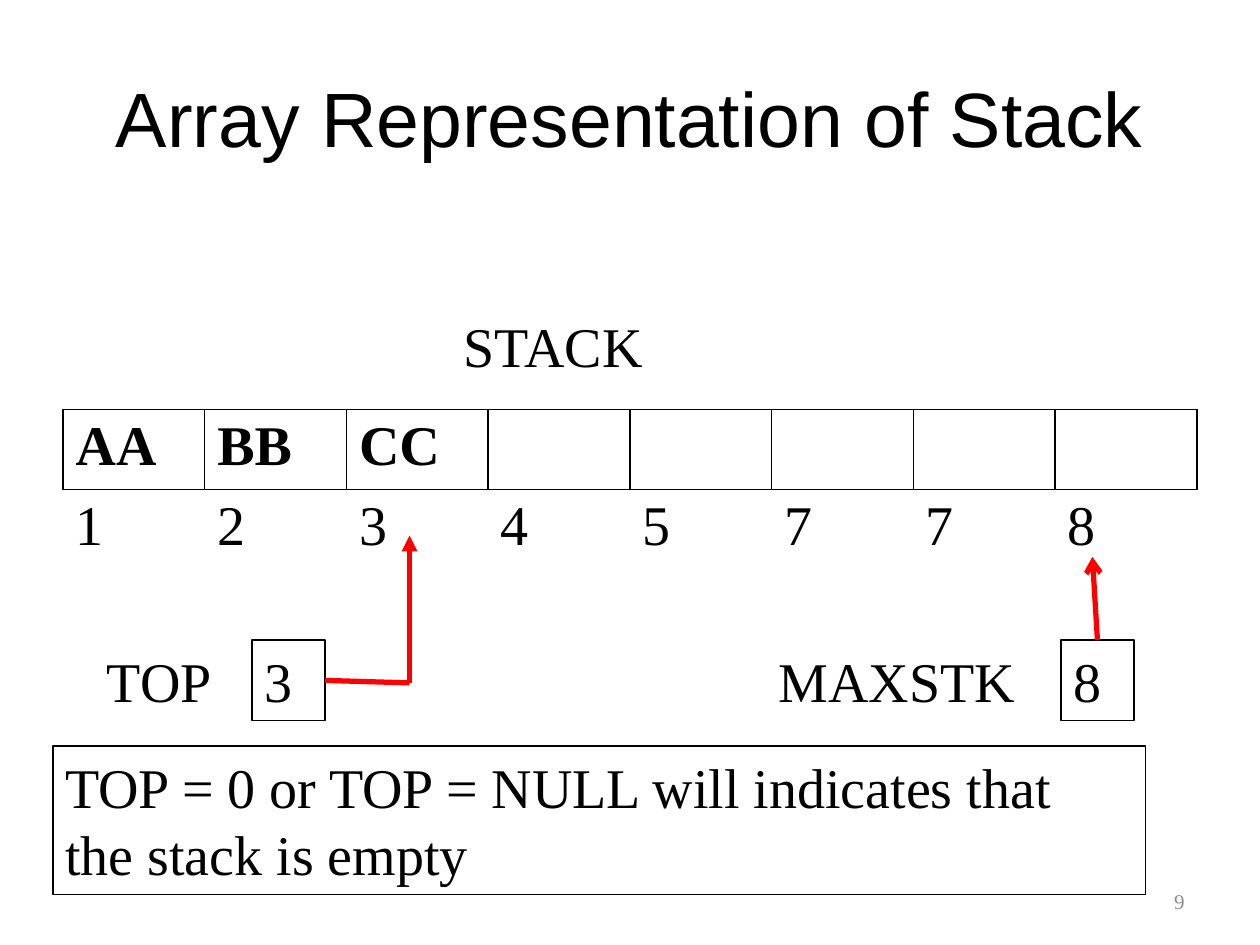
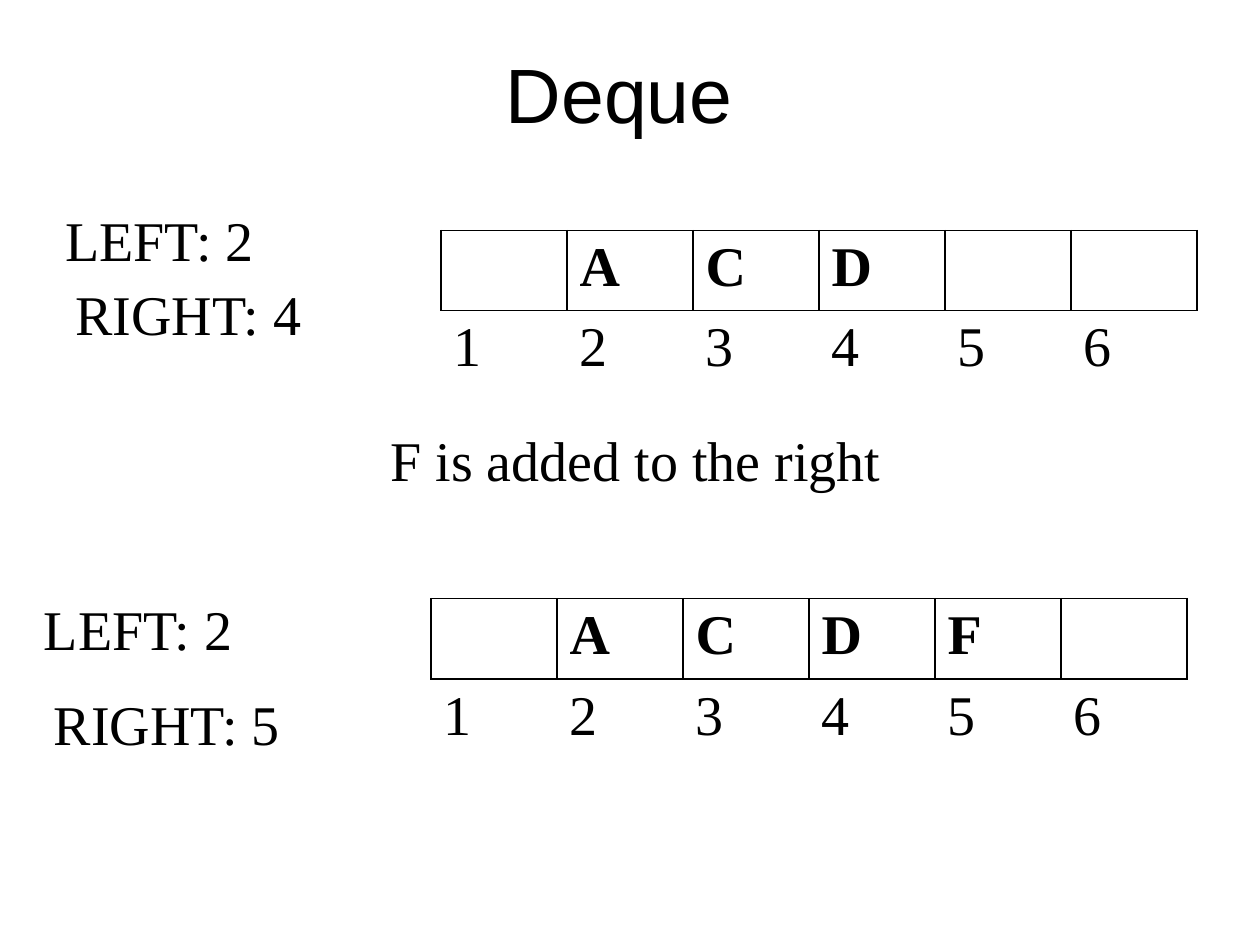
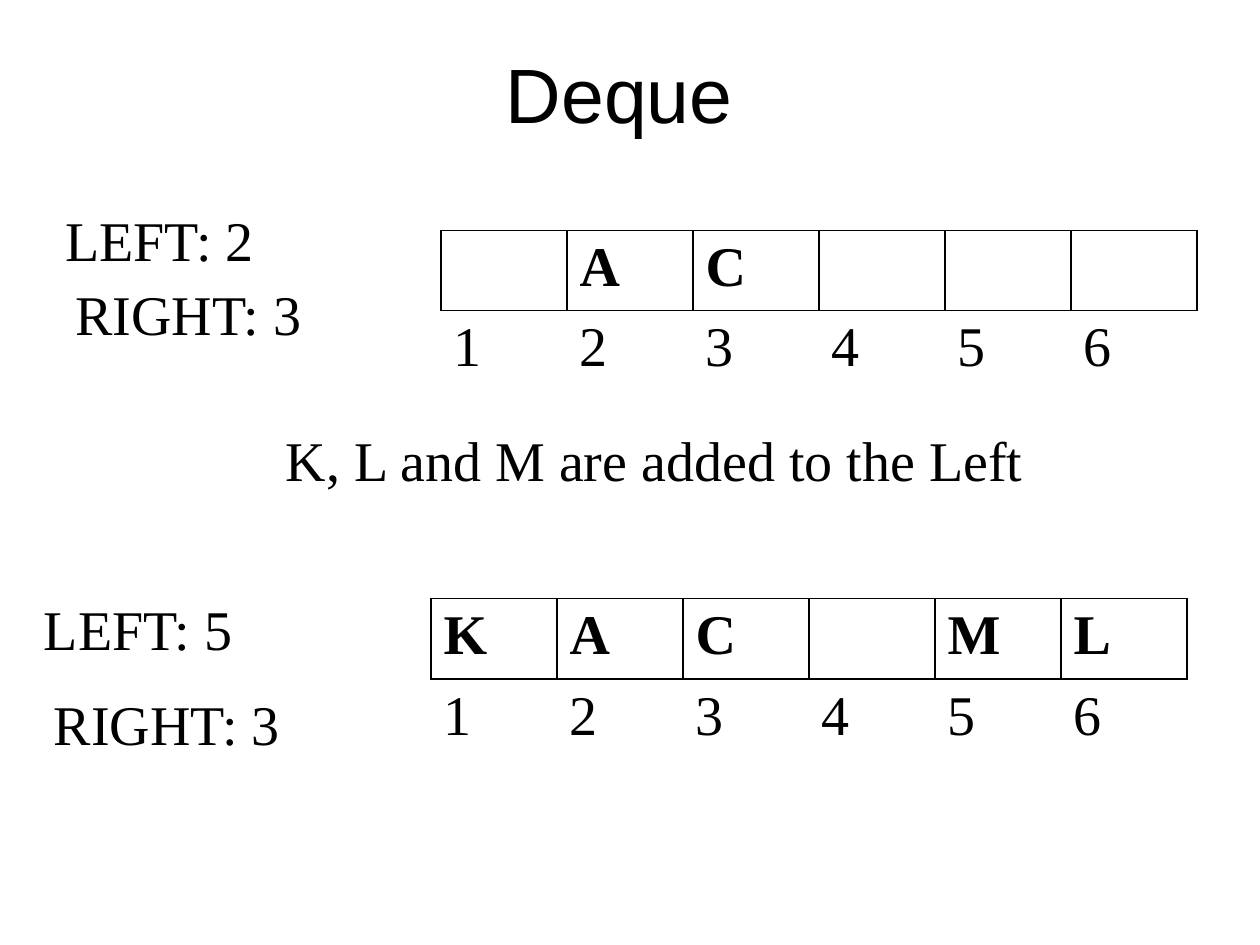
from pptx import Presentation
from pptx.dml.color import RGBColor
from pptx.enum.shapes import MSO_CONNECTOR, MSO_SHAPE
from pptx.enum.text import MSO_ANCHOR, PP_ALIGN
from pptx.oxml.ns import qn
from pptx.util import Inches, Pt
from lxml.etree import SubElement

COLORS = {"ink": "000000", "arrow": "FF0000", "page": "8C8C8C"}
TITLE_FONT, BODY_FONT = "Arial", "Times New Roman"
BODY_SIZE = 32
LINE_H = 0.64  # height of a one-line box

# Content: the stack slide
STACK_TITLE = "Array Representation of Stack"
STACK_CELLS = ["AA", "BB", "CC", "", "", "", "", ""]
STACK_INDEXES = ["1", "2", "3", "4", "5", "7", "7", "8"]
STACK_LABELS = [  # text, left, top, width
    ("STACK", 3.58, 2.42, 1.83),
    ("TOP", 0.75, 5.08, 1.17),
    ("MAXSTK", 6.08, 5.08, 2.17),
]
STACK_BOXES = [  # text, left, top, width, height
    ("3", 2, 5.08, 0.58, LINE_H),
    ("8", 8.42, 5.08, 0.58, LINE_H),
    ("TOP = 0 or TOP = NULL will indicates that the stack is empty",
     0.42, 5.92, 8.67, 1.18),
]
STACK_ARROWS = [  # start, end, arrowhead
    ((2.58, 5.4), (3.25, 5.42), None),
    ((3.25, 5.42), (3.25, 4.25), "triangle"),
    ((8.71, 5.08), (8.67, 4.42), "arrow"),
]
STACK_PAGE = "9"

# Content: the deque slides, each a state before and after an insertion
DEQUE_TITLE = "Deque "
DEQUES = [
    {"note": ("F is added to the right", 3, 5.33),
     "states": [(2, 4, ["", "A", "C", "D", "", ""]),
                (2, 5, ["", "A", "C", "D", "F", ""])]},
    {"note": ("K, L and M are added to the Left", 2.17, 7.33),
     "states": [(2, 3, ["", "A", "C", "", "", ""]),
                (5, 3, ["K", "A", "C", "", "M", "L"])]},
]
DEQUE_PLACES = [  # table left, top, row height; LEFT and RIGHT label corners
    {"table": (3.5, 1.83, 0.6), "left": (0.42, 1.58), "right": (0.5, 2.17)},
    {"table": (3.42, 4.75, 0.64), "left": (0.25, 4.67), "right": (0.33, 5.42)},
]


def rgb(name):
    return RGBColor.from_string(COLORS[name])


def write(tf, text, size=BODY_SIZE, font=BODY_FONT, color="ink", bold=False,
          align=PP_ALIGN.LEFT):
    p = tf.paragraphs[0]
    p.alignment = align
    r = p.add_run()
    r.text = text
    r.font.size, r.font.name, r.font.bold = Pt(size), font, bold
    r.font.color.rgb = rgb(color)


def add_text(s, text, x, y, w, h=LINE_H, anchor=MSO_ANCHOR.TOP, **style):
    tf = s.shapes.add_textbox(Inches(x), Inches(y), Inches(w), Inches(h)).text_frame
    tf.word_wrap = True
    tf.vertical_anchor = anchor
    write(tf, text, **style)


def add_title(s, text, h):
    add_text(s, text, 0.5, 0.3, 9, h, MSO_ANCHOR.MIDDLE,
             size=44, font=TITLE_FONT, align=PP_ALIGN.CENTER)


def add_box(s, text, x, y, w, h):
    sp = s.shapes.add_shape(MSO_SHAPE.RECTANGLE, Inches(x), Inches(y),
                            Inches(w), Inches(h))
    sp.shadow.inherit = False
    sp.fill.background()
    sp.line.color.rgb = rgb("ink")
    sp.line.width = Pt(0.75)
    sp.text_frame.word_wrap = True
    sp.text_frame.vertical_anchor = MSO_ANCHOR.TOP
    write(sp.text_frame, text)


def add_arrow(s, start, end, head):
    c = s.shapes.add_connector(MSO_CONNECTOR.STRAIGHT,
                               *(Inches(v) for v in start + end))
    c.line.color.rgb = rgb("arrow")
    c.line.width = Pt(3)
    if head:
        SubElement(c.line._get_or_add_ln(), qn("a:tailEnd"), type=head)
    SubElement(c._element.spPr, qn("a:effectLst"))


def set_borders(cell, shown):
    tcPr = cell._tc.get_or_add_tcPr()
    for side in "LRTB":
        ln = SubElement(tcPr, qn("a:ln" + side), w=str(Pt(1)))
        if side in shown:
            fill = SubElement(ln, qn("a:solidFill"))
            SubElement(fill, qn("a:srgbClr"), val=COLORS["ink"])
        else:
            SubElement(ln, qn("a:noFill"))


def add_array(s, values, indexes, x, y, w, row_h):
    """A framed row of values above an unframed row of indexes."""
    table = s.shapes.add_table(2, len(values), Inches(x), Inches(y),
                               Inches(w), Inches(2 * row_h)).table
    table.first_row = table.horz_banding = False
    for row, (texts, shown) in enumerate([(values, "LRTB"), (indexes, "T")]):
        for col, text in enumerate(texts):
            cell = table.cell(row, col)
            set_borders(cell, shown)
            cell.fill.background()
            if text:
                write(cell.text_frame, text, bold=row == 0)


def add_stack_slide(prs):
    s = prs.slides.add_slide(prs.slide_layouts[6])
    add_title(s, STACK_TITLE, 1.25)
    add_text(s, STACK_PAGE, 7.17, 6.95, 2.33, 0.4, MSO_ANCHOR.MIDDLE,
             size=12, color="page", align=PP_ALIGN.RIGHT)
    add_array(s, STACK_CELLS, STACK_INDEXES, 0.5, 3.25, 9, 0.6)
    for label in STACK_LABELS:
        add_text(s, *label)
    for box in STACK_BOXES:
        add_box(s, *box)
    for arrow in STACK_ARROWS:
        add_arrow(s, *arrow)


def add_deque_slide(prs, deque):
    s = prs.slides.add_slide(prs.slide_layouts[6])
    add_title(s, DEQUE_TITLE, 0.87)
    note, x, w = deque["note"]
    add_text(s, note, x, 3.33, w)
    for (left, right, values), place in zip(deque["states"], DEQUE_PLACES):
        x, y, row_h = place["table"]
        indexes = [str(i) for i in range(1, len(values) + 1)]
        add_array(s, values, indexes, x, y, len(values), row_h)
        add_text(s, f"LEFT: {left}", *place["left"], 2.17)
        add_text(s, f"RIGHT: {right}", *place["right"], 2.25)


def main():
    prs = Presentation()
    prs.slide_width, prs.slide_height = Inches(10), Inches(7.5)
    add_stack_slide(prs)
    for deque in DEQUES:
        add_deque_slide(prs, deque)
    prs.save("out.pptx")


if __name__ == "__main__":
    main()
